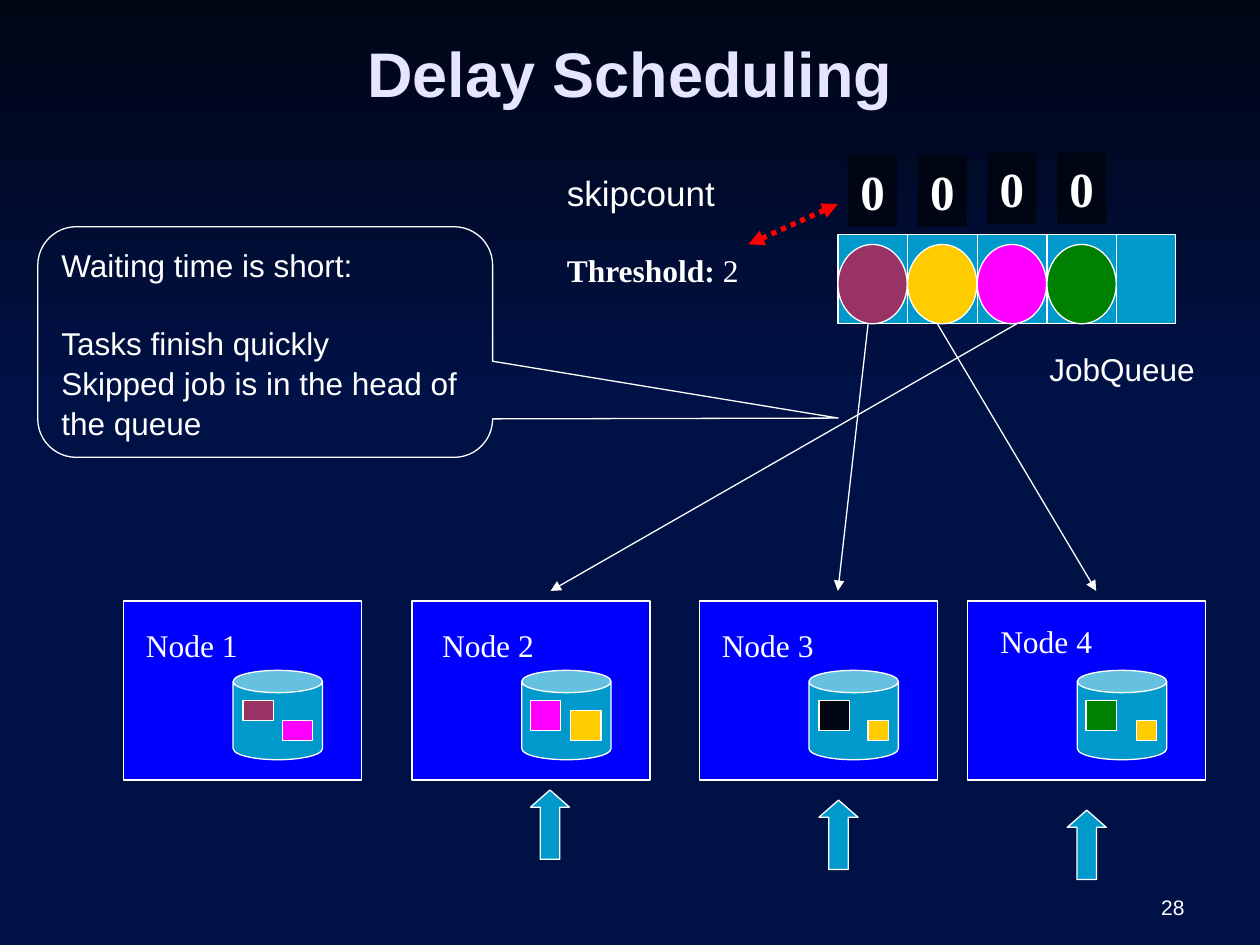
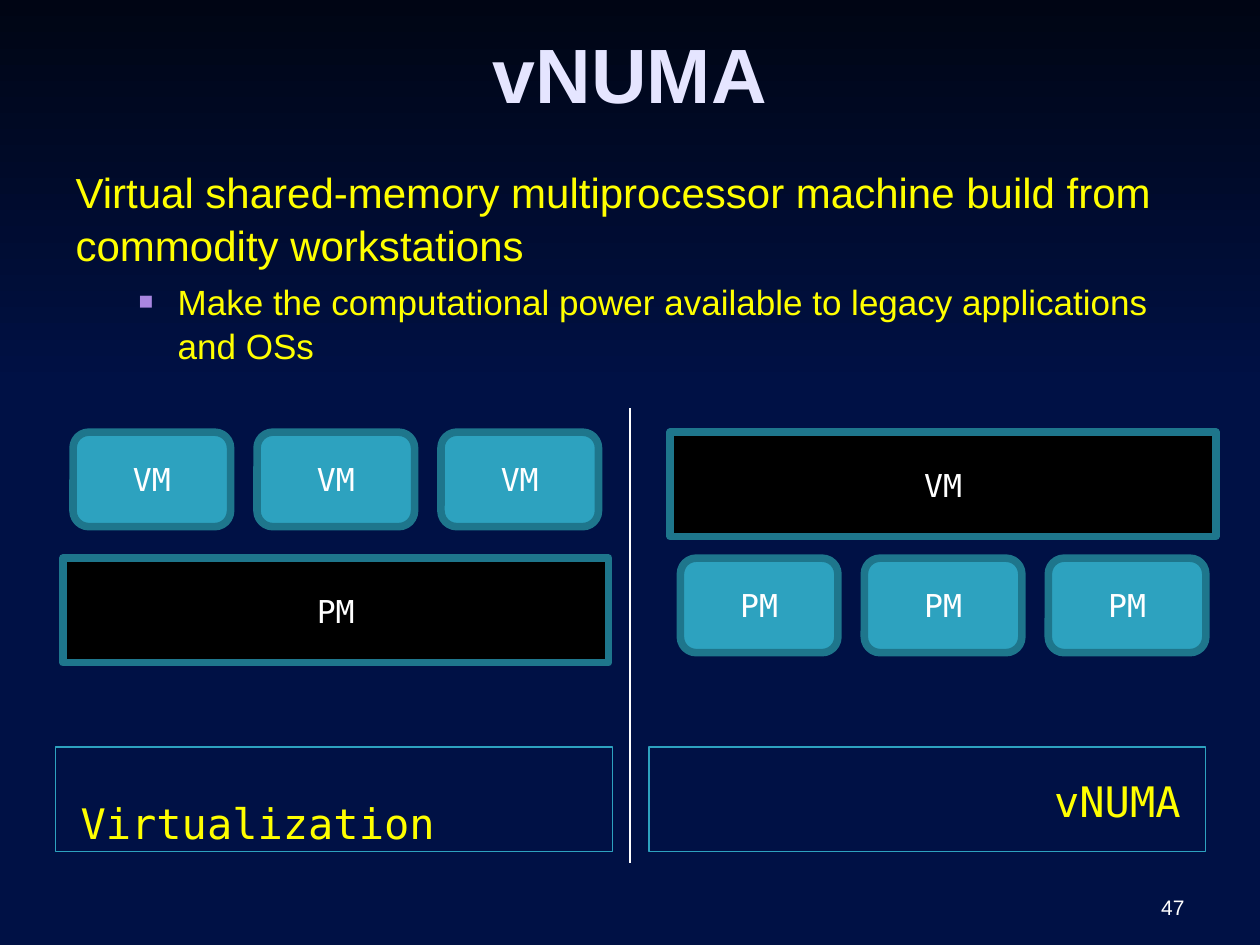
from dataclasses import dataclass
from typing import NamedTuple, Optional

from lxml.etree import SubElement
from pptx import Presentation
from pptx.dml.color import RGBColor
from pptx.enum.dml import MSO_LINE
from pptx.enum.shapes import MSO_CONNECTOR, MSO_SHAPE
from pptx.enum.text import MSO_ANCHOR, MSO_AUTO_SIZE, PP_ALIGN
from pptx.oxml.ns import qn
from pptx.util import Inches, Pt

COLUMNS, ROWS = 100, 75
CELL = Inches(10) // COLUMNS
SANS, SERIF, MONO = "Arial", "Times New Roman", "DejaVu Sans Mono"
WHITE, YELLOW, LAVENDER = "FFFFFF", "FFFF00", "E5E5FF"
NAVY, NIGHT, BLUE, AQUA = "001145", "000514", "0000FF", "0099CC"
PLUM, GOLD, PINK, GREEN, RED = "993366", "FFCC00", "FF00FF", "008000", "FF0000"
TEAL, DARK_TEAL, BLACK, VIOLET = "2DA2BF", "1E768C", "000000", "A886E0"
LINE_SPACING = 1.05
SLOT = 5.53
QUEUE_X, QUEUE_Y, QUEUE_H = 66.5, 18.6, 7.1


class Box(NamedTuple):
    """Left, top, width and height in grid cells."""
    x: float
    y: float
    w: float
    h: float


class Style(NamedTuple):
    """Look of a piece of text."""
    size: float
    font: str = SANS
    color: str = WHITE
    bold: bool = False
    align: PP_ALIGN = PP_ALIGN.LEFT
    anchor: MSO_ANCHOR = MSO_ANCHOR.TOP


class Block(NamedTuple):
    """A data block on a node's disk, placed from the node's left edge."""
    dx: float
    y: float
    w: float
    h: float
    color: str


@dataclass
class Node:
    """A cluster node with its label, data blocks and optional up arrow."""
    name: str
    x: float
    label_x: float
    label_y: float
    blocks: tuple[Block, ...]
    arrow: Optional[tuple[float, float]] = None


class Link(NamedTuple):
    """A job's path from the queue to a node."""
    start_x: float
    end_x: float


class Panel(NamedTuple):
    """One machine layout: three small machines and one wide machine."""
    x: float
    small: str
    small_y: float
    wide: str
    wide_y: float


NODES = (
    Node("Node 1", 9.8, 10.6, 49.2,
         (Block(9.5, 55.6, 2.4, 1.6, PLUM), Block(12.6, 57.2, 2.4, 1.6, PINK))),
    Node("Node 2", 32.7, 34.1, 49.2,
         (Block(9.4, 55.6, 2.4, 2.4, PINK), Block(12.6, 56.4, 2.4, 2.4, GOLD)),
         (42.1, 62.7)),
    Node("Node 3", 55.5, 56.3, 49.2,
         (Block(9.5, 55.6, 2.4, 2.4, NIGHT), Block(13.4, 57.2, 1.6, 1.6, GOLD)),
         (65, 63.5)),
    Node("Node 4", 76.8, 78.4, 48.9,
         (Block(9.4, 55.6, 2.4, 2.4, GREEN), Block(13.4, 57.2, 1.6, 1.6, GOLD)),
         (84.7, 64.3)),
)
JOBS = (PLUM, GOLD, PINK, GREEN)
LINKS = (Link(68.9, 66.5), Link(74.4, 87), Link(80.7, 43.7))
PANELS = (Panel(5, "VM", 34.3, "PM", 44.3), Panel(53.2, "PM", 44.3, "VM", 34.3))


def rgb(value: str) -> RGBColor:
    """Turn a hex string into a colour."""
    return RGBColor.from_string(value)


def cells(n: float) -> int:
    """Convert grid cells to a length."""
    return round(n * CELL)


def place(sp, box: Box) -> None:
    """Move a shape to its grid box."""
    sp.left, sp.top, sp.width, sp.height = map(cells, box)


def style_paragraph(p, style: Style) -> None:
    """Format a paragraph and its runs."""
    p.alignment = style.align
    for r in p.runs:
        r.font.size, r.font.name, r.font.bold = Pt(style.size), style.font, style.bold
        r.font.color.rgb = rgb(style.color)


def write(sp, text: str, style: Style):
    """Fill a shape with text, one paragraph a line."""
    tf = sp.text_frame
    tf.word_wrap, tf.auto_size = True, MSO_AUTO_SIZE.NONE
    tf.vertical_anchor = style.anchor
    tf.text = text
    for p in tf.paragraphs:
        style_paragraph(p, style)
    return tf


def add_text(s, box: Box, text: str, style: Style):
    """Add a text box."""
    return write(s.shapes.add_textbox(*map(cells, box)), text, style)


def add_box(s, kind: MSO_SHAPE, box: Box, fill: Optional[str] = None,
            line: Optional[str] = WHITE, width: float = 0.75):
    """Add a flat preset shape."""
    sp = s.shapes.add_shape(kind, *map(cells, box))
    sp.shadow.inherit = False
    if fill:
        sp.fill.solid()
        sp.fill.fore_color.rgb = rgb(fill)
    else:
        sp.fill.background()
    if line:
        sp.line.color.rgb = rgb(line)
        sp.line.width = Pt(width)
    else:
        sp.line.fill.background()
    return sp


def add_line(s, start: tuple[float, float], end: tuple[float, float],
             color: str = WHITE, width: float = 0.75, heads: tuple[str, ...] = ()):
    """Add a straight line with optional arrowheads."""
    c = s.shapes.add_connector(MSO_CONNECTOR.STRAIGHT, *map(cells, (*start, *end)))
    c.line.color.rgb = rgb(color)
    c.line.width = Pt(width)
    SubElement(c._element.spPr, qn("a:effectLst"))
    for head in heads:
        SubElement(c.line._get_or_add_ln(), qn(f"a:{head}"), type="triangle")
    return c


def set_bullet(p, char: str, color: str, percent: int, left: float, hang: float) -> None:
    """Give a paragraph a coloured bullet and a hanging indent."""
    pPr = p._p.get_or_add_pPr()
    pPr.set("marL", str(cells(left)))
    pPr.set("indent", str(-cells(hang)))
    SubElement(SubElement(pPr, qn("a:buClr")), qn("a:srgbClr"), val=color)
    SubElement(pPr, qn("a:buSzPct"), val=str(percent * 1000))
    SubElement(pPr, qn("a:buFont"), typeface=SANS)
    SubElement(pPr, qn("a:buChar"), char=char)


def clear_bullet(p) -> None:
    """Remove a paragraph's bullet and indent."""
    pPr = p._p.get_or_add_pPr()
    pPr.set("marL", "0")
    pPr.set("indent", "0")
    SubElement(pPr, qn("a:buNone"))


def dress_master(prs, s) -> None:
    """Put the background and the top gradient band on the master."""
    master = prs.slide_master
    master.background.fill.solid()
    master.background.fill.fore_color.rgb = rgb(NAVY)
    band = add_box(s, MSO_SHAPE.RECTANGLE, Box(0, 0, COLUMNS, 30.8), line=None)
    band.fill.gradient()
    band.fill.gradient_angle = 270
    for stop, color in zip(band.fill.gradient_stops, (NIGHT, NAVY)):
        stop.color.rgb = rgb(color)
    master.shapes._spTree.insert(2, band._element)


def add_slide(prs, layout: int, title: str, size: float, number: int):
    """Add a slide with its title and number."""
    s = prs.slides.add_slide(prs.slide_layouts[layout])
    place(s.shapes.title, Box(5, 0.7, 90, 10.1))
    write(s.shapes.title, title,
          Style(size, SANS, LAVENDER, True, PP_ALIGN.CENTER, MSO_ANCHOR.MIDDLE))
    add_text(s, Box(71.7, 68.3, 23.3, 5.2), str(number),
             Style(12, align=PP_ALIGN.RIGHT, anchor=MSO_ANCHOR.BOTTOM))
    return s


def draw_queue(s) -> None:
    """Draw the job queue with its jobs and skip counts."""
    bottom = QUEUE_Y + QUEUE_H
    add_box(s, MSO_SHAPE.RECTANGLE, Box(QUEUE_X, QUEUE_Y, 26.8, QUEUE_H), AQUA)
    for i, color in enumerate(JOBS):
        x = QUEUE_X + i * SLOT
        add_line(s, (x + SLOT, QUEUE_Y), (x + SLOT, bottom))
        add_box(s, MSO_SHAPE.OVAL, Box(x, 19.4, 5.5, 6.3), color)
        count = add_box(s, MSO_SHAPE.RECTANGLE,
                        Box(x + 0.8, 12.3 if i < 2 else 12.1, 3.9, 5.7), NIGHT, None)
        write(count, "0", Style(28, SERIF, bold=True))
    for link in LINKS:
        add_line(s, (link.start_x, bottom), (link.end_x, 46.9), heads=("tailEnd",))
    add_text(s, Box(82.3, 27.3, 15, 4), "JobQueue", Style(18))


def draw_node(s, node: Node) -> None:
    """Draw a node, its disk, data blocks and arrow."""
    add_box(s, MSO_SHAPE.RECTANGLE, Box(node.x, 47.7, 18.9, 14.2), BLUE)
    add_box(s, MSO_SHAPE.CAN, Box(node.x + 8.7, 53.2, 7.1, 7.1), AQUA)
    for b in node.blocks:
        add_box(s, MSO_SHAPE.RECTANGLE, Box(node.x + b.dx, b.y, b.w, b.h), b.color)
    add_text(s, Box(node.label_x, node.label_y, 9.8, 7), node.name, Style(18, SERIF))
    if node.arrow:
        arrow = add_box(s, MSO_SHAPE.UP_ARROW, Box(*node.arrow, 3.1, 5.5), AQUA)
        arrow.adjustments[1] = 0.44


def build_scheduling(prs) -> None:
    """Build the delay scheduling slide."""
    s = add_slide(prs, 5, "Delay Scheduling", 36, 28)
    dress_master(prs, s)
    draw_queue(s)
    for node in NODES:
        draw_node(s, node)
    add_text(s, Box(44, 13.1, 14.9, 4.4), "skipcount", Style(20))
    p = add_text(s, Box(44, 19.4, 16.5, 7), "Threshold:", Style(18, SERIF)).paragraphs[0]
    p.add_run().text = " 2"
    style_paragraph(p, Style(18, SERIF))
    p.runs[0].font.bold = True
    dots = add_line(s, (59.4, 19.4), (66.5, 16.2), RED, 3)
    dots.line.dash_style = MSO_LINE.ROUND_DOT
    for head in ("headEnd", "tailEnd"):
        SubElement(dots.line._get_or_add_ln(), qn(f"a:{head}"), type="triangle")
    note = add_box(s, MSO_SHAPE.ROUNDED_RECTANGULAR_CALLOUT, Box(3, 18, 36.1, 18.3))
    note.adjustments[0], note.adjustments[1] = 1.26, 0.33
    tf = write(note, "Waiting time is short:\nTasks finish quickly\n"
                     "Skipped job is in the head of the queue", Style(18))
    for p in tf.paragraphs:
        p.line_spacing = LINE_SPACING
    tf.paragraphs[1].space_before = Pt(22)


def draw_machine(s, kind: MSO_SHAPE, box: Box, fill: str, name: str) -> None:
    """Draw a labelled machine with a thick outline."""
    write(add_box(s, kind, box, fill, DARK_TEAL, 4.34), name,
          Style(18, MONO, align=PP_ALIGN.CENTER, anchor=MSO_ANCHOR.MIDDLE))


def draw_caption(s, x: float, text: str, align: PP_ALIGN, anchor: MSO_ANCHOR) -> None:
    """Draw an outlined caption under a panel."""
    sp = add_box(s, MSO_SHAPE.RECTANGLE, Box(x, 59.3, 44.2, 8.3), None, TEAL, 0.77)
    tf = write(sp, text, Style(24, MONO, YELLOW, align=align, anchor=anchor))
    tf.margin_left = tf.margin_right = cells(2)
    tf.margin_bottom = cells(0.3)


def build_vnuma(prs) -> None:
    """Build the vNUMA slide."""
    s = add_slide(prs, 1, "vNUMA", 44, 47)
    body = s.placeholders[1]
    place(body, Box(5, 12.5, 90, 17.7))
    tf = write(body, "Virtual shared-memory multiprocessor machine build from commodity "
                     "workstations\nMake the computational power available to legacy "
                     "applications and OSs", Style(24, color=YELLOW))
    head, sub = tf.paragraphs
    clear_bullet(head)
    sub.level = 1
    set_bullet(sub, "■", VIOLET, 70, 8.1, 3.1)
    style_paragraph(sub, Style(20, color=YELLOW))
    head.space_before, sub.space_before = Pt(0), Pt(5)
    head.line_spacing = sub.line_spacing = LINE_SPACING
    for panel in PANELS:
        draw_machine(s, MSO_SHAPE.RECTANGLE, Box(panel.x, panel.wide_y, 43.3, 8.3),
                     BLACK, panel.wide)
        for i in range(3):
            draw_machine(s, MSO_SHAPE.ROUNDED_RECTANGLE,
                         Box(panel.x + 0.8 + i * 14.6, panel.small_y, 12.5, 7.5),
                         TEAL, panel.small)
    draw_caption(s, 4.4, "Virtualization", PP_ALIGN.LEFT, MSO_ANCHOR.BOTTOM)
    draw_caption(s, 51.5, "vNUMA", PP_ALIGN.RIGHT, MSO_ANCHOR.MIDDLE)
    add_line(s, (50, 32.4), (50, 68.5))


def main() -> None:
    """Build and save the presentation."""
    prs = Presentation()
    prs.slide_width, prs.slide_height = CELL * COLUMNS, CELL * ROWS
    build_scheduling(prs)
    build_vnuma(prs)
    prs.save("out.pptx")


if __name__ == "__main__":
    main()
